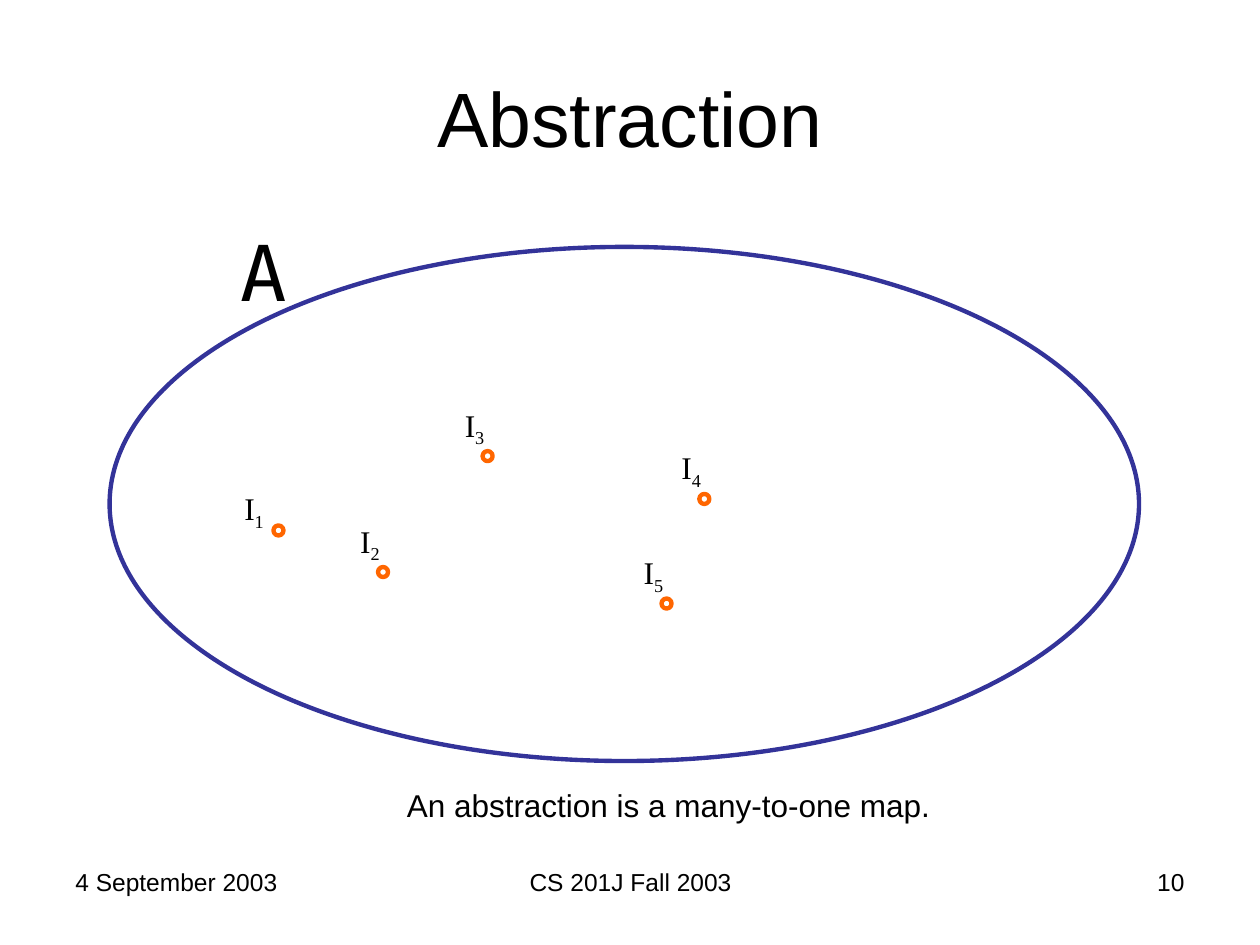
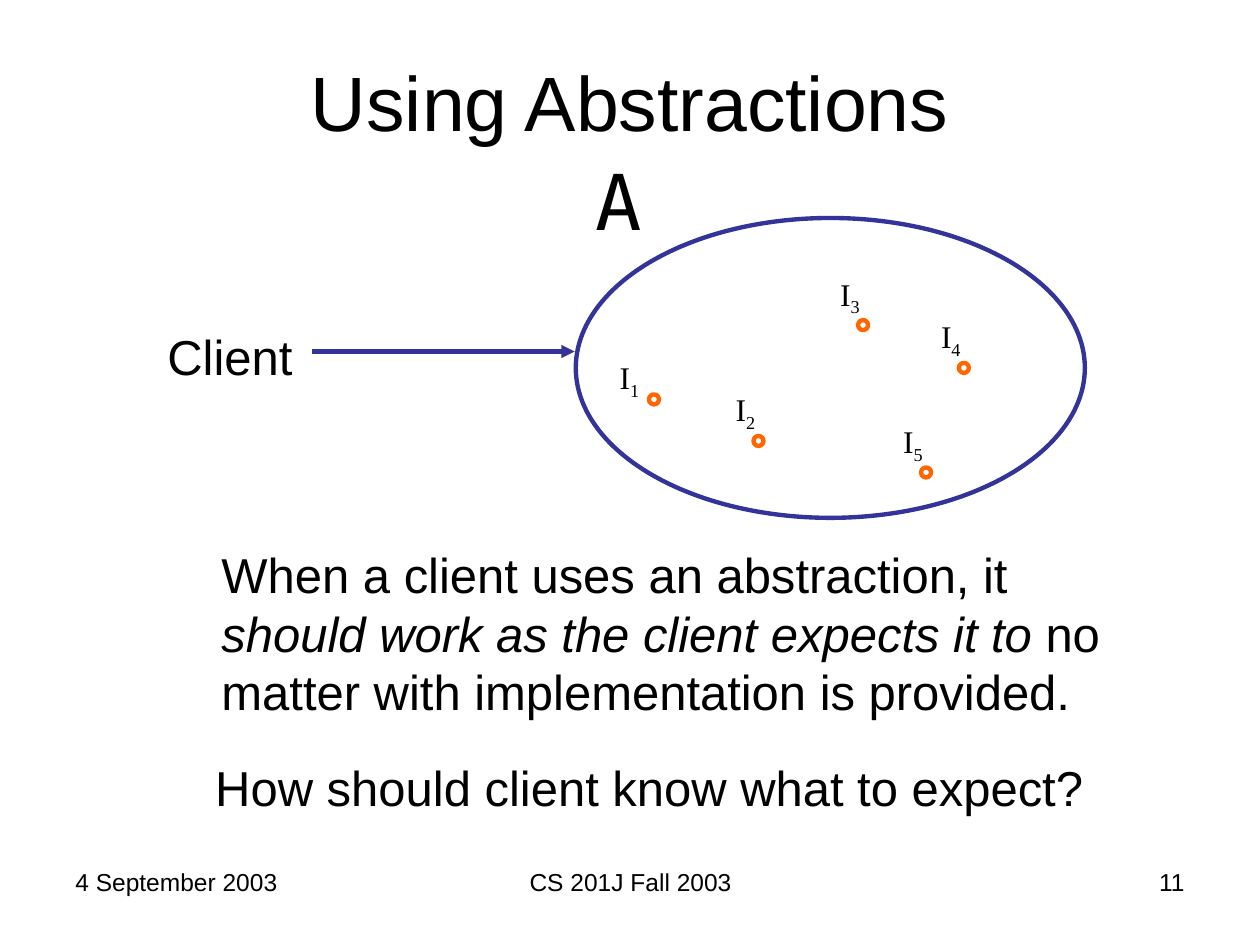
from lxml import etree
from pptx import Presentation
from pptx.dml.color import RGBColor
from pptx.enum.shapes import MSO_CONNECTOR as CONN, MSO_SHAPE as SHAPE
from pptx.enum.text import MSO_ANCHOR as ANCHOR, MSO_AUTO_SIZE as FIT, PP_ALIGN as ALIGN
from pptx.oxml.ns import qn
from pptx.util import Inches, Pt

BLACK, BLUE, ORANGE = "000000", "333399", "FF6600"
SANS, MONO, SERIF = "Arial", "DejaVu Sans Mono", "Times New Roman"
LINE_WIDTH = 2.5
DOT_SIZE = 0.08
LABEL_OFFSET = (-0.24, -0.41)
FIRST_LABEL_OFFSET = (-0.33, -0.34)


def color(hex_code):
    return RGBColor.from_string(hex_code)


def add_text(slide, runs, box, size, font=SANS, align=ALIGN.LEFT,
             anchor=ANCHOR.TOP, wrap=False):
    sp = slide.shapes.add_textbox(*map(Inches, box))
    tf = sp.text_frame
    tf.word_wrap = wrap
    tf.auto_size = FIT.NONE
    tf.vertical_anchor = anchor
    p = tf.paragraphs[0]
    p.alignment = align
    p.font.name = font
    p.font.size = Pt(size)
    p.font.color.rgb = color(BLACK)
    for text in runs:
        p.add_run().text = text
    return p


def add_frame(slide, title, title_top, number):
    add_text(slide, [title], (0.5, title_top, 9, 1.25), 44,
             align=ALIGN.CENTER, anchor=ANCHOR.MIDDLE, wrap=True)
    footers = [
        ("4 September 2003", 0.5, 2.33, ALIGN.LEFT),
        ("CS 201J Fall 2003", 3.42, 3.17, ALIGN.CENTER),
        (str(number), 7.17, 2.33, ALIGN.RIGHT),
    ]
    for text, left, width, align in footers:
        add_text(slide, [text], (left, 6.83, width, 0.52), 14, align=align, wrap=True)


def add_ellipse(slide, box, line_color):
    sp = slide.shapes.add_shape(SHAPE.OVAL, *map(Inches, box))
    sp.shadow.inherit = False
    sp.fill.background()
    sp.line.color.rgb = color(line_color)
    sp.line.width = Pt(LINE_WIDTH)


def add_implementation(slide, number, left, top):
    add_ellipse(slide, (left, top, DOT_SIZE, DOT_SIZE), ORANGE)
    dx, dy = FIRST_LABEL_OFFSET if number == 1 else LABEL_OFFSET
    p = add_text(slide, ["I", str(number)], (left + dx, top + dy, 0.35, 0.44), 18, SERIF)
    p.runs[1].font._element.set("baseline", "-25000")


def add_abstraction(slide, ellipse, name_at, dots):
    add_ellipse(slide, ellipse, BLUE)
    add_text(slide, ["A"], (*name_at, 0.59, 0.84), 44, MONO)
    for number, (left, top) in enumerate(dots, 1):
        add_implementation(slide, number, left, top)


def add_arrow(slide, start, end):
    line = slide.shapes.add_connector(CONN.STRAIGHT, *map(Inches, (*start, *end)))
    line.line.color.rgb = color(BLUE)
    line.line.width = Pt(LINE_WIDTH)
    etree.SubElement(line.line._get_or_add_ln(), qn("a:tailEnd"), type="triangle")
    etree.SubElement(line._element.spPr, qn("a:effectLst"))


def build_abstraction(slide):
    add_frame(slide, "Abstraction", 0.3, 10)
    add_abstraction(slide, (0.87, 1.96, 8.17, 4.08), (1.81, 1.73),
                    [(2.17, 4.17), (3, 4.5), (3.83, 3.58), (5.55, 3.92), (5.25, 4.75)])
    add_text(slide, ["An abstraction is a many-to-one map."], (3.13, 6.19, 4.35, 0.4), 18)


def build_using_abstractions(slide):
    add_frame(slide, "Using Abstractions", 0.17, 11)
    add_abstraction(slide, (4.57, 1.73, 4.04, 2.38), (4.63, 1.17),
                    [(5.15, 3.13), (5.98, 3.46), (6.81, 2.54), (7.61, 2.88), (7.31, 3.71)])
    add_text(slide, ["Client"], (1.23, 2.54, 1.19, 0.57), 28)
    add_arrow(slide, (2.48, 2.79), (4.56, 2.79))
    p = add_text(slide, ["When a client uses an abstraction, it ",
                         "should work as the client expects it to",
                         " no matter with implementation is provided."],
                 (1.66, 4.27, 7.43, 1.5), 28, wrap=True)
    p.runs[1].font.italic = True
    add_text(slide, ["How should client know what to expect?"], (1.61, 5.96, 7.08, 0.57), 28)


def main():
    prs = Presentation()
    prs.slide_width, prs.slide_height = Inches(10), Inches(7.5)
    for build in (build_abstraction, build_using_abstractions):
        build(prs.slides.add_slide(prs.slide_layouts[6]))
    prs.save("out.pptx")


if __name__ == "__main__":
    main()
